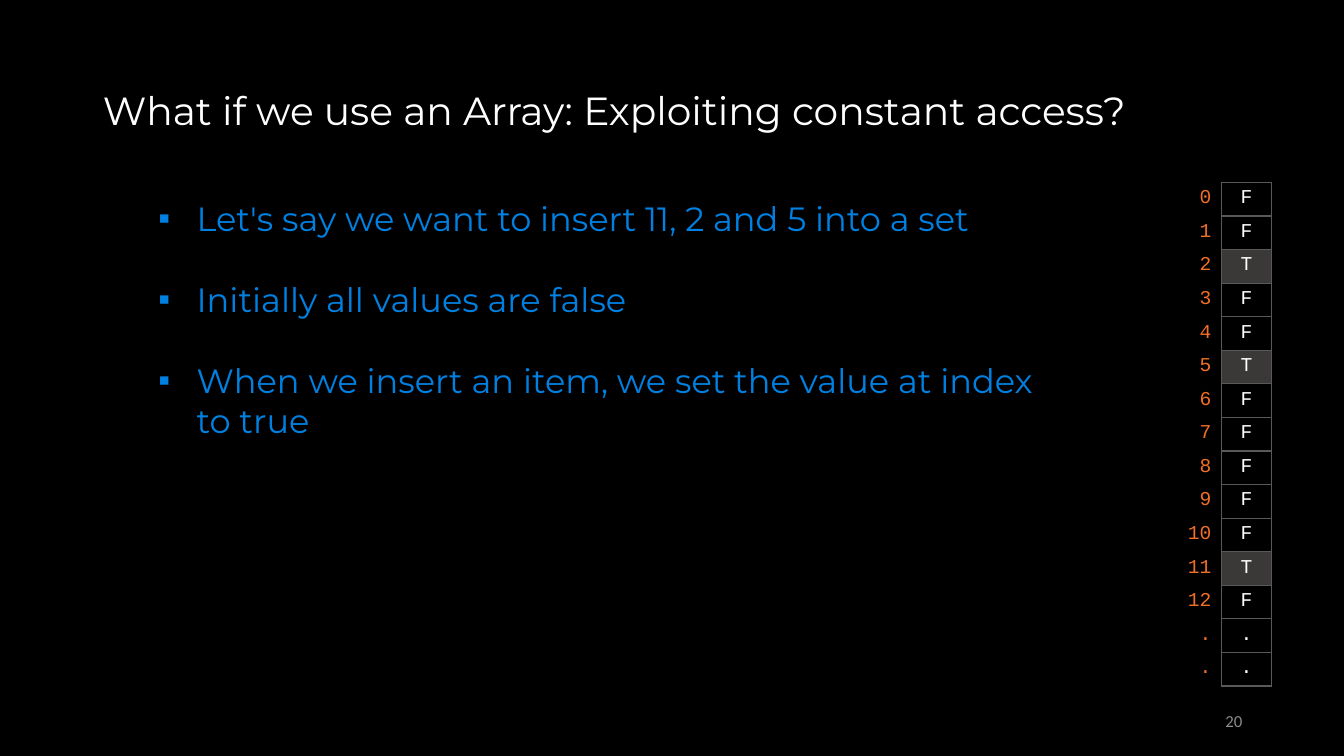
from dataclasses import dataclass

from pptx import Presentation
from pptx.dml.color import RGBColor
from pptx.enum.text import MSO_ANCHOR, MSO_AUTO_SIZE, PP_ALIGN
from pptx.oxml.ns import qn
from pptx.util import Inches, Pt
from lxml import etree

LEFT, CENTER, RIGHT = PP_ALIGN.LEFT, PP_ALIGN.CENTER, PP_ALIGN.RIGHT
MIDDLE, TOP = MSO_ANCHOR.MIDDLE, MSO_ANCHOR.TOP
NO_FIT = MSO_AUTO_SIZE.NONE
NO_STYLE_NO_GRID = "{2D5ABB26-0587-4C30-8999-92F81FD0307C}"

BLACK, WHITE, BLUE, ORANGE = "000000", "FFFFFF", "0081E2", "F26F26"
SET_FILL, BORDER, PAGE_GREY = "3B3838", "595959", "8C8C8C"

ARRAY_LENGTH = 13
INSERTED = {11, 2, 5}
POINTS = [
    "Let's say we want to insert 11, 2 and 5 into a set",
    "Initially all values are false",
    "When we insert an item, we set the value at index to true",
]


@dataclass
class Slot:
    index: str
    value: str


@dataclass
class TextStyle:
    font: str
    size: float
    color: str
    align: PP_ALIGN = LEFT


def rgb(color: str) -> RGBColor:
    return RGBColor.from_string(color)


def format_paragraph(paragraph, style: TextStyle) -> None:
    paragraph.alignment = style.align
    paragraph.font.name = style.font
    paragraph.font.size = Pt(style.size)
    paragraph.font.color.rgb = rgb(style.color)


def place(shape, left: float, top: float, width: float, height: float) -> None:
    shape.left, shape.top = Inches(left), Inches(top)
    shape.width, shape.height = Inches(width), Inches(height)


def add_bullet(paragraph, color: str) -> None:
    properties = paragraph._p.get_or_add_pPr()
    properties.set("marL", str(Inches(0.38)))
    properties.set("indent", str(Inches(-0.38)))
    bullet_color = etree.SubElement(properties, qn("a:buClr"))
    etree.SubElement(bullet_color, qn("a:srgbClr"), val=color)
    etree.SubElement(properties, qn("a:buFont"), typeface="Arial")
    etree.SubElement(properties, qn("a:buChar"), char="▪")


def add_borders(cell, color: str) -> None:
    properties = cell._tc.get_or_add_tcPr()
    for side in ("a:lnL", "a:lnR", "a:lnT", "a:lnB"):
        line = etree.SubElement(properties, qn(side), w=str(Pt(1)))
        fill = etree.SubElement(line, qn("a:solidFill"))
        etree.SubElement(fill, qn("a:srgbClr"), val=color)


def fill_title(title) -> None:
    place(title, 0.92, 0.36, 11.5, 1.45)
    frame = title.text_frame
    frame.text = "What if we use an Array: Exploiting constant access?"
    frame.vertical_anchor = MIDDLE
    frame.auto_size = NO_FIT
    format_paragraph(frame.paragraphs[0], TextStyle("Montserrat", 28, WHITE))


def fill_points(body) -> None:
    place(body, 1.47, 1.91, 8.95, 5.69)
    frame = body.text_frame
    frame.text = "\n".join(POINTS)
    frame.vertical_anchor = TOP
    frame.auto_size = NO_FIT
    for number, paragraph in enumerate(frame.paragraphs):
        add_bullet(paragraph, BLUE)
        paragraph.space_before = Pt(29 if number else 0)
        format_paragraph(paragraph, TextStyle("Montserrat", 24, BLUE))


def add_array(slide, slots: list[Slot]) -> None:
    frame = slide.shapes.add_table(
        len(slots), 2, Inches(11.62), Inches(1.81), Inches(0.99), Inches(5))
    array = frame.table
    array.first_row = array.horz_banding = False
    array._tbl.tblPr.find(qn("a:tableStyleId")).text = NO_STYLE_NO_GRID
    index_style = TextStyle("Courier New", 14, ORANGE, RIGHT)
    value_style = TextStyle("Courier New", 14, WHITE, CENTER)
    for row, slot in enumerate(slots):
        index_cell, value_cell = array.cell(row, 0), array.cell(row, 1)
        index_cell.text, value_cell.text = slot.index, slot.value
        format_paragraph(index_cell.text_frame.paragraphs[0], index_style)
        format_paragraph(value_cell.text_frame.paragraphs[0], value_style)
        add_borders(value_cell, BORDER)
        index_cell.fill.background()
        if slot.value == "T":
            value_cell.fill.solid()
            value_cell.fill.fore_color.rgb = rgb(SET_FILL)
        else:
            value_cell.fill.background()


def add_page_number(slide) -> None:
    page_number = slide.shapes.add_textbox(
        Inches(9.42), Inches(6.95), Inches(3), Inches(0.4))
    frame = page_number.text_frame
    frame.word_wrap = True
    frame.vertical_anchor = MIDDLE
    frame.text = "20"
    format_paragraph(frame.paragraphs[0], TextStyle("Calibri", 12, PAGE_GREY, RIGHT))


def main() -> None:
    deck = Presentation()
    deck.slide_width, deck.slide_height = Inches(13.33), Inches(7.5)
    slide = deck.slides.add_slide(deck.slide_layouts[1])
    slide.background.fill.solid()
    slide.background.fill.fore_color.rgb = rgb(BLACK)
    slots = [Slot(str(index), "T" if index in INSERTED else "F")
             for index in range(ARRAY_LENGTH)]
    slots += [Slot(".", ".")] * 2
    fill_title(slide.shapes.title)
    fill_points(slide.placeholders[1])
    add_array(slide, slots)
    add_page_number(slide)
    deck.save("out.pptx")


if __name__ == "__main__":
    main()
